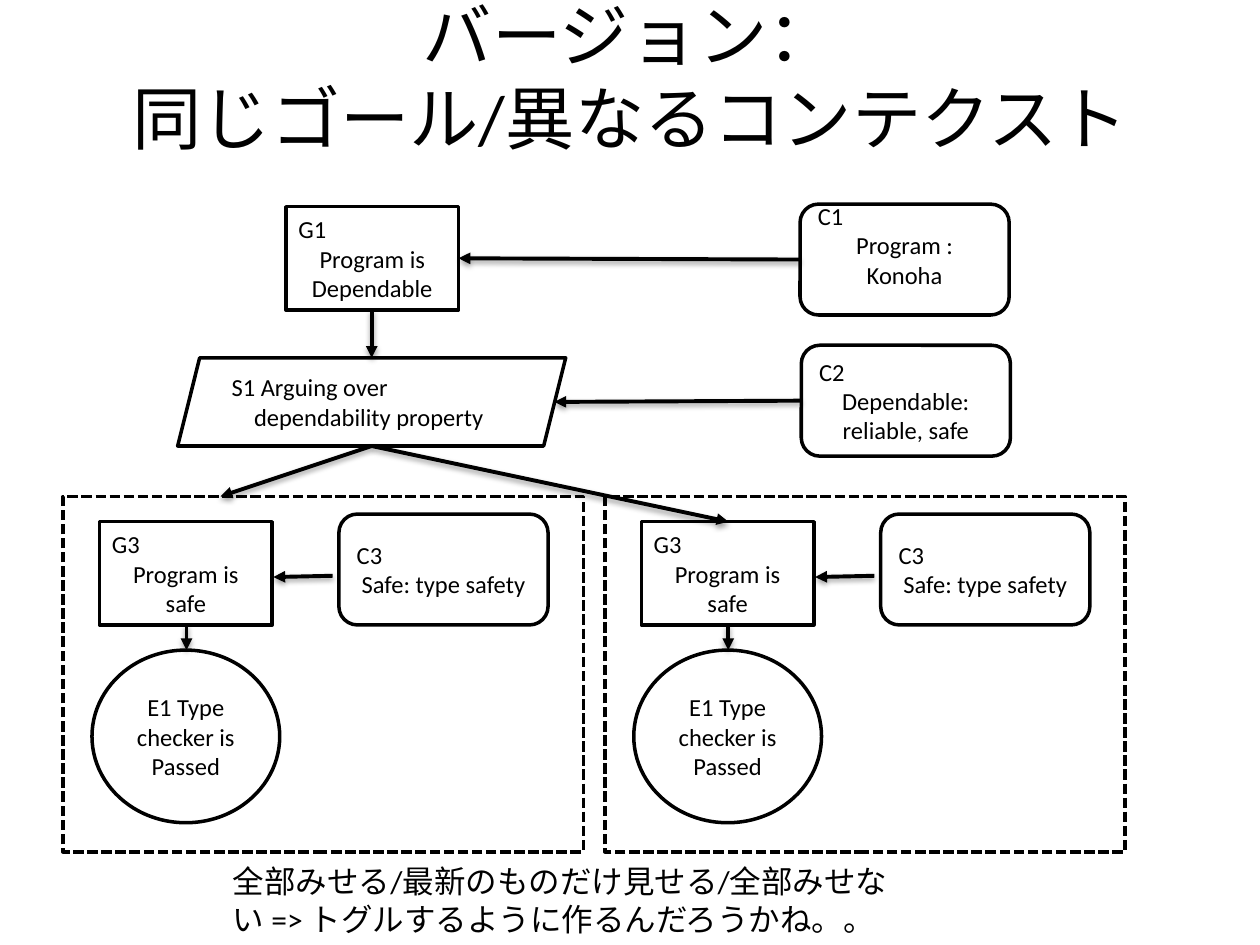
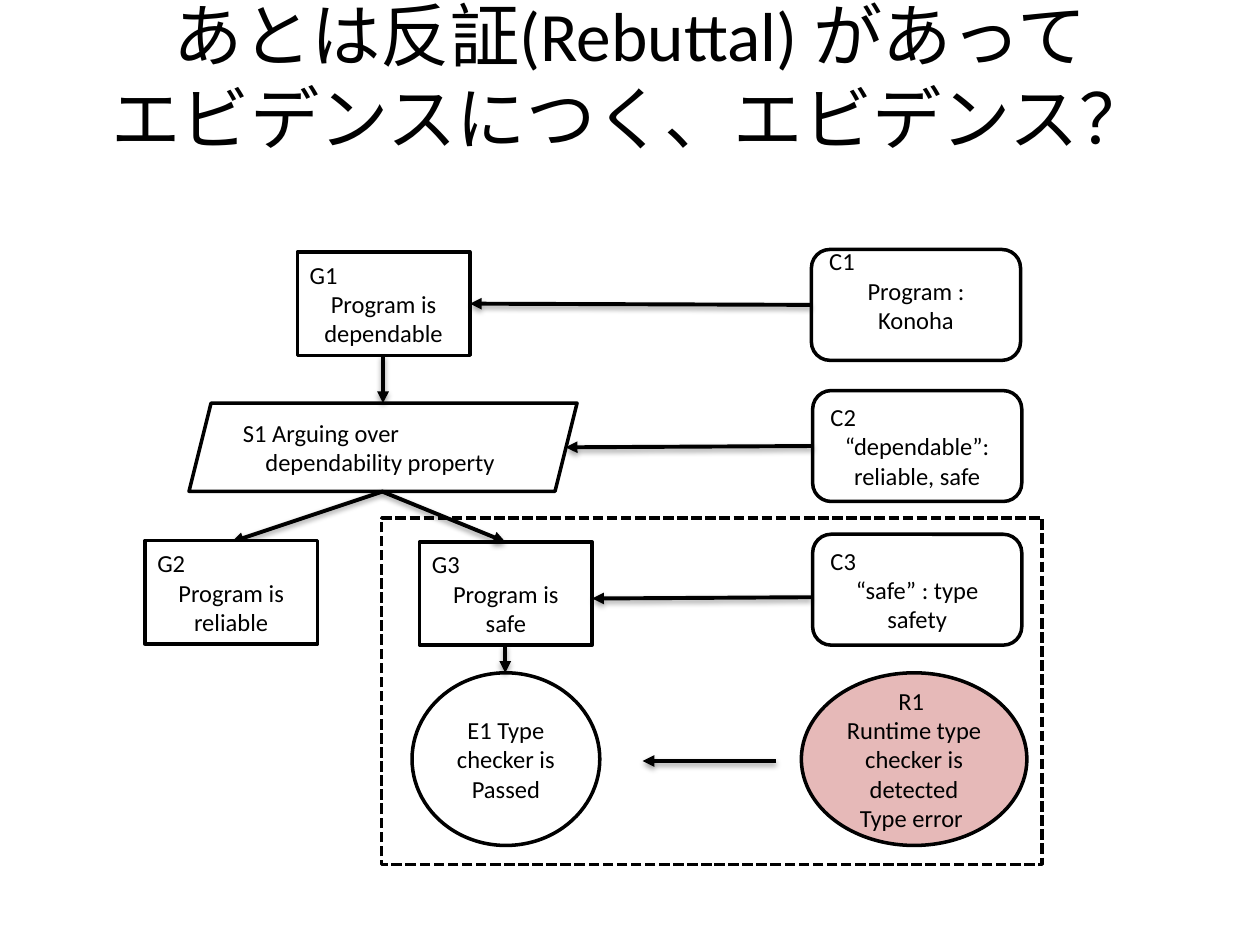
from typing import NamedTuple

from lxml.etree import SubElement
from pptx import Presentation
from pptx.dml.color import RGBColor
from pptx.enum.dml import MSO_LINE_DASH_STYLE as Dash
from pptx.enum.shapes import MSO_CONNECTOR as Link, MSO_SHAPE as Form
from pptx.enum.text import MSO_ANCHOR as Anchor, PP_ALIGN as Align
from pptx.oxml.ns import qn
from pptx.util import Emu, Pt

PX = 9144
FONT = "Calibri"
BLACK, WHITE, PINK = "000000", "FFFFFF", "E6B9B8"
GOAL_SIZE = (137, 82)
CONTEXT_SIZE = (166, 88)
STRATEGY_SIZE = (308, 70)
EVIDENCE_SIZE = (149, 137)
REBUTTAL_SIZE = (179, 137)
NODE_TEXT = 14
BLANK_LAYOUT = 6


class Node(NamedTuple):
    form: Form
    left: int
    top: int
    size: tuple[int, int]
    lines: tuple[str, ...]
    fill: str = WHITE
    lift: int = 0


class Arrow(NamedTuple):
    x1: int
    y1: int
    x2: int
    y2: int


class Frame(NamedTuple):
    left: int
    top: int
    width: int
    height: int


def px(length: int) -> Emu:
    return Emu(length * PX)


def color(value: str) -> RGBColor:
    return RGBColor.from_string(value)


def add_span(para, text: str, size: float) -> None:
    span = para.add_run()
    span.text = text
    span.font.name = FONT
    span.font.size = Pt(size)
    span.font.color.rgb = color(BLACK)


def outline(shape, width: float) -> None:
    shape.line.color.rgb = color(BLACK)
    shape.line.width = Pt(width)


def draw_text(page, frame: Frame, lines: tuple[str, ...], size: float,
              align: Align, anchor: Anchor) -> None:
    box = page.shapes.add_textbox(*map(px, frame))
    box.text_frame.word_wrap = True
    box.text_frame.vertical_anchor = anchor
    para = box.text_frame.paragraphs[0]
    para.alignment = align
    for index, line in enumerate(lines):
        if index:
            para.add_line_break()
        add_span(para, line, size)


def draw_node(page, node: Node) -> None:
    shape = page.shapes.add_shape(node.form, px(node.left), px(node.top), *map(px, node.size))
    shape.shadow.inherit = False
    shape.fill.solid()
    shape.fill.fore_color.rgb = color(node.fill)
    outline(shape, 2)
    frame = shape.text_frame
    frame.word_wrap = True
    frame.vertical_anchor = Anchor.MIDDLE
    frame.margin_bottom = px(5 + node.lift)
    for index, line in enumerate(node.lines):
        para = frame.add_paragraph() if index else frame.paragraphs[0]
        is_label = index == 0 and node.form != Form.OVAL
        para.alignment = Align.LEFT if is_label else Align.CENTER
        add_span(para, line, NODE_TEXT)


def draw_arrow(page, arrow: Arrow) -> None:
    line = page.shapes.add_connector(Link.STRAIGHT, *map(px, arrow))
    outline(line, 2.25)
    SubElement(line.line._get_or_add_ln(), qn("a:tailEnd"), type="triangle")
    effects = SubElement(line._element.spPr, qn("a:effectLst"))
    shadow = SubElement(effects, qn("a:outerShdw"), blurRad="40000", dist="20000",
                        dir="5400000", rotWithShape="0")
    tint = SubElement(shadow, qn("a:srgbClr"), val=BLACK)
    SubElement(tint, qn("a:alpha"), val="38000")


def draw_group(page, frame: Frame) -> None:
    shape = page.shapes.add_shape(Form.RECTANGLE, *map(px, frame))
    shape.shadow.inherit = False
    shape.fill.background()
    outline(shape, 2)
    shape.line.dash_style = Dash.SQUARE_DOT


def draw_all(page, nodes: list[Node], arrows: list[Arrow]) -> None:
    for node in nodes:
        draw_node(page, node)
    for arrow in arrows:
        draw_arrow(page, arrow)


def goal(left: int, top: int, name: str, claim: str) -> Node:
    return Node(Form.RECTANGLE, left, top, GOAL_SIZE, (name, claim))


def context(left: int, top: int, name: str, detail: str, lift: int = 0) -> Node:
    return Node(Form.ROUNDED_RECTANGLE, left, top, CONTEXT_SIZE, (name, detail), lift=lift)


def evidence(left: int, top: int) -> Node:
    return Node(Form.OVAL, left, top, EVIDENCE_SIZE, ("E1 Type checker is Passed",))


def add_page(deck, title: tuple[str, ...]):
    page = deck.slides.add_slide(deck.slide_layouts[BLANK_LAYOUT])
    draw_text(page, Frame(50, 30, 900, 59), title, 39.6, Align.CENTER, Anchor.MIDDLE)
    return page


def draw_argument(page, x: int, y: int, claim: str, property_text: str) -> None:
    strategy = Node(Form.PARALLELOGRAM, x, y + 120, STRATEGY_SIZE,
                    ("S1 Arguing over", "dependability property "))
    draw_all(page, [
        goal(x + 86, y, "G1", claim),
        strategy,
        context(x + 494, y - 2, "C1", "Program : Konoha", lift=23),
        context(x + 495, y + 110, "C2", property_text),
    ], [
        Arrow(x + 494, y + 42, x + 223, y + 41),
        Arrow(x + 154, y + 82, x + 154, y + 120),
        Arrow(x + 495, y + 154, x + 299, y + 155),
        Arrow(x + 154, y + 190, x + 34, y + 230),
    ])


def draw_version(page, x: int, y: int) -> None:
    draw_group(page, Frame(x, y, 413, 282))
    draw_all(page, [
        goal(x + 29, y + 20, "G3", "Program is safe"),
        context(x + 219, y + 14, "C3", "Safe: type safety"),
        evidence(x + 23, y + 122),
    ], [
        Arrow(x + 214, y + 63, x + 167, y + 64),
        Arrow(x + 98, y + 102, x + 98, y + 122),
    ])


def build_versions(deck) -> None:
    page = add_page(deck, ("バージョン：", "同じゴール/異なるコンテクスト"))
    draw_argument(page, 141, 164, "Program is Dependable", "Dependable: reliable, safe")
    for left in (50, 480):
        draw_version(page, left, 394)
    draw_arrow(page, Arrow(295, 354, 578, 414))
    note = "全部みせる/最新のものだけ見せる/全部みせない => トグルするように作るんだろうかね。。"
    draw_text(page, Frame(175, 679, 556, 71), (note,), 18, Align.LEFT, Anchor.TOP)


def build_rebuttal(deck) -> None:
    page = add_page(deck, ("あとは反証(Rebuttal) があって", "エビデンスにつく、エビデンス？"))
    draw_argument(page, 150, 200, "Program is dependable", "“dependable”: reliable, safe")
    rebuttal = Node(Form.OVAL, 636, 534, REBUTTAL_SIZE,
                    ("R1 ", "Runtime type checker is detected", "Type error "), PINK)
    draw_all(page, [
        goal(115, 429, "G2", "Program is reliable"),
        goal(333, 430, "G3", "Program is safe"),
        context(645, 424, "C3", "“safe” : type safety"),
        evidence(327, 534),
        rebuttal,
    ], [
        Arrow(303, 390, 401, 430),
        Arrow(644, 474, 470, 475),
        Arrow(401, 512, 401, 534),
        Arrow(616, 604, 510, 604),
    ])
    draw_group(page, Frame(303, 411, 524, 275))


def main() -> None:
    deck = Presentation()
    deck.slide_width, deck.slide_height = px(1000), px(750)
    build_versions(deck)
    build_rebuttal(deck)
    deck.save("out.pptx")


if __name__ == "__main__":
    main()
